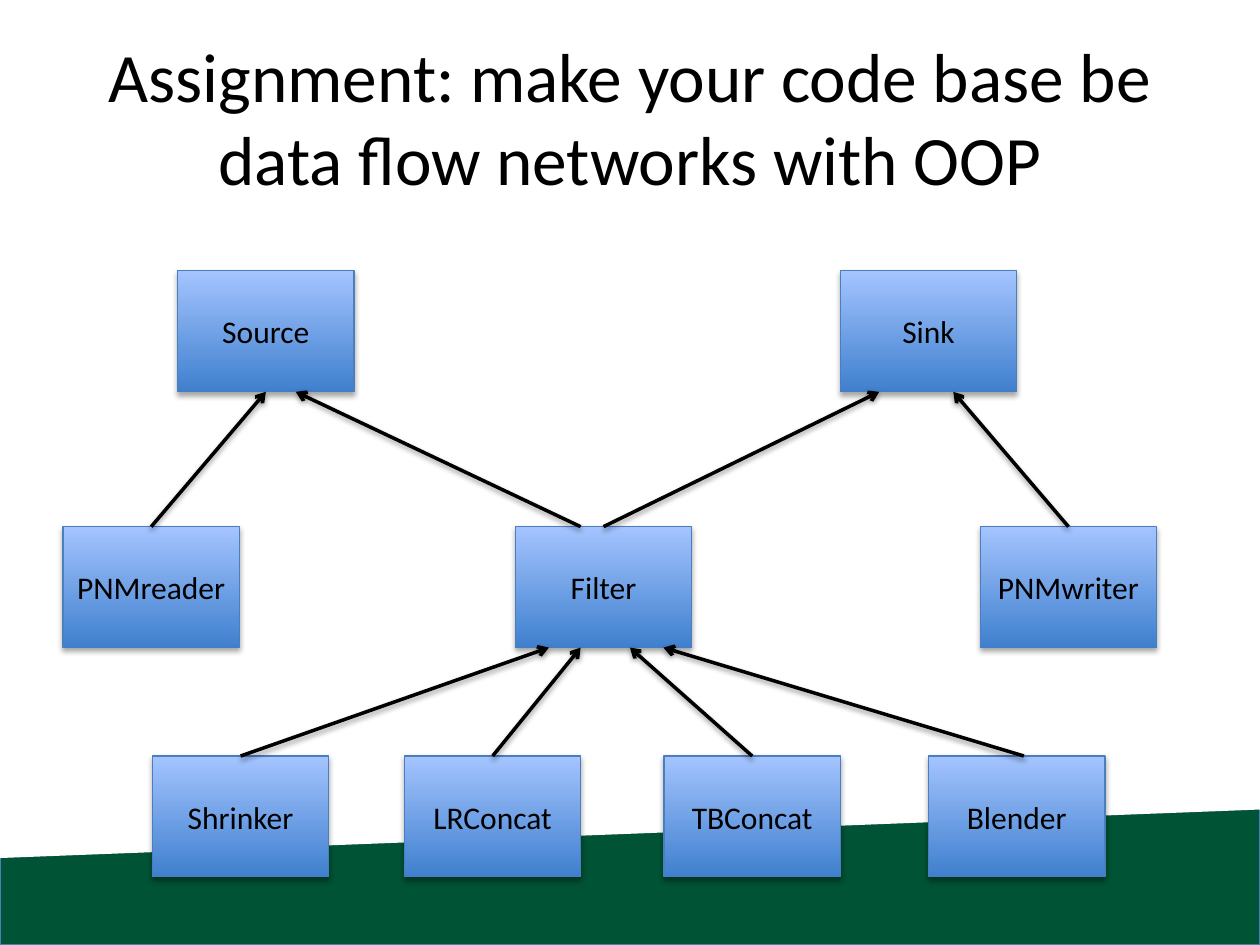
"""Class diagram of a data flow network over a slanted green band."""
from lxml import etree
from pptx import Presentation
from pptx.dml.color import RGBColor
from pptx.enum import shapes, text
from pptx.oxml.ns import qn
from pptx.util import Inches, Pt

TITLE = "Assignment: make your code base be data flow networks with OOP"
ROWS = [
    (2.15, {"Source": 1.41, "Sink": 6.67}),
    (4.18, {"PNMreader": 0.5, "Filter": 4.09, "PNMwriter": 7.78}),
    (6.0, {"Shrinker": 1.21, "LRConcat": 3.21, "TBConcat": 5.27, "Blender": 7.37}),
]
LINKS = [
    ("PNMreader", 0.5, "Source", 0.5),
    ("Filter", 0.37, "Source", 0.67),
    ("Filter", 0.5, "Sink", 0.22),
    ("PNMwriter", 0.5, "Sink", 0.64),
    ("Shrinker", 0.5, "Filter", 0.19),
    ("LRConcat", 0.5, "Filter", 0.37),
    ("TBConcat", 0.5, "Filter", 0.65),
    ("Blender", 0.54, "Filter", 0.84),
]
COLORS = {"band": "005334", "edge": "4B7EBC", "dark": "3F80CE",
          "light": "A4C4FF", "ink": "000000", "paper": "FFFFFF"}
WIDE, HIGH = 1.4, 0.96
FONT = "Calibri"


def tone(name):
    return RGBColor.from_string(COLORS[name])


def add_form(slide, kind, *area):
    form = slide.shapes.add_shape(kind, *map(Inches, area))
    form.line.color.rgb = tone("edge")
    form.line.width = Pt(0.75)
    return form


def set_text(form, words, size):
    frame = form.text_frame
    frame.text = words
    frame.word_wrap = True
    frame.vertical_anchor = text.MSO_ANCHOR.MIDDLE
    para = frame.paragraphs[0]
    para.alignment = text.PP_ALIGN.CENTER
    para.font.name, para.font.size = FONT, Pt(size)
    para.font.color.rgb = tone("ink")


def add_band(slide):
    band = add_form(slide, shapes.MSO_SHAPE.RECTANGLE, 0, 5.61, 10, 1.89)
    band.fill.solid()
    band.fill.fore_color.rgb = tone("band")
    slant = add_form(slide, shapes.MSO_SHAPE.PARALLELOGRAM, 3.84, 0.65, 2.32, 10)
    slant.adjustments[0] = 0.166
    slant.rotation = 90
    slant.element.spPr.find(qn("a:xfrm")).set("flipH", "1")
    slant.fill.solid()
    slant.fill.fore_color.rgb = tone("paper")
    slant.line.fill.background()
    slant.shadow.inherit = False


def add_box(slide, name, left, top):
    box = add_form(slide, shapes.MSO_SHAPE.RECTANGLE, left, top, WIDE, HIGH)
    box.fill.gradient()
    box.fill.gradient_angle = 90
    for stop, shade in zip(box.fill.gradient_stops, ("dark", "light")):
        stop.color.rgb = tone(shade)
    set_text(box, name, 18)
    frame = box.text_frame
    frame.margin_left = frame.margin_right = Inches(0.05)


def add_arrow(slide, start, end):
    arrow = slide.shapes.add_connector(
        shapes.MSO_CONNECTOR.STRAIGHT, *map(Inches, start + end))
    arrow.line.color.rgb = tone("ink")
    arrow.line.width = Pt(2)
    etree.SubElement(arrow.line._get_or_add_ln(), qn("a:tailEnd"), type="arrow")


def main():
    deck = Presentation()
    deck.slide_width, deck.slide_height = Inches(10), Inches(7.5)
    slide = deck.slides.add_slide(deck.slide_layouts[5])
    add_band(slide)
    title = slide.shapes.title
    title.left, title.top, title.width, title.height = map(Inches, (0.5, 0.3, 9, 1.25))
    set_text(title, TITLE, 39.6)
    spots = {name: (left, top) for top, row in ROWS for name, left in row.items()}
    for name, spot in spots.items():
        add_box(slide, name, *spot)
    for child, out, parent, into in LINKS:
        (left, top), (goal, roof) = spots[child], spots[parent]
        add_arrow(slide, (left + out * WIDE, top), (goal + into * WIDE, roof + HIGH))
    deck.save("out.pptx")


if __name__ == "__main__":
    main()
